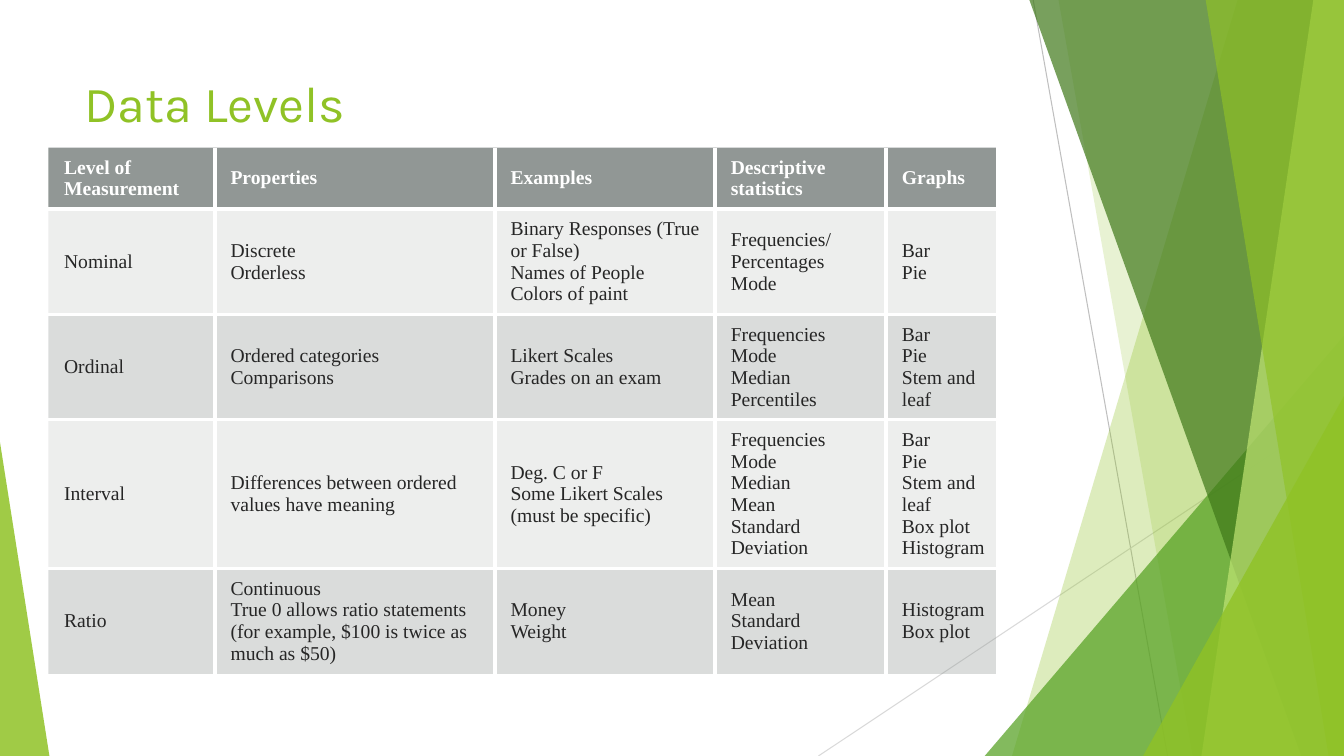
from lxml.etree import SubElement
from pptx import Presentation
from pptx.dml.color import RGBColor
from pptx.enum.shapes import MSO_CONNECTOR, MSO_SHAPE
from pptx.enum.text import MSO_ANCHOR
from pptx.oxml import parse_xml
from pptx.oxml.ns import nsdecls, qn
from pptx.util import Pt

WIDTH, HEIGHT = 960, 540
LIME = "90C226"
COLUMN_WIDTHS = [118.9, 200, 157.4, 122.2, 78.5]
ROW_HEIGHTS = [44, 75.2, 75.2, 106.4, 75.2]
INSETS = {"margin_left": Pt(11.3), "margin_right": Pt(6.5),
          "margin_top": Pt(6.5), "margin_bottom": Pt(6.5)}
# Each cell is a list of paragraphs; \v breaks a line inside a paragraph.
ROWS = [
    [["Level of Measurement"], ["Properties"], ["Examples"],
     ["Descriptive statistics"], ["Graphs"]],
    [["Nominal"], ["Discrete", "Orderless"],
     ["Binary Responses (True or False)", "Names of People", "Colors of paint"],
     ["Frequencies/Percentages\vMode"], ["Bar", "Pie"]],
    [["Ordinal"], ["Ordered categories", "Comparisons"],
     ["Likert Scales", "Grades on an exam"],
     ["Frequencies", "Mode", "Median", "Percentiles"],
     ["Bar", "Pie", "Stem and leaf"]],
    [["Interval"], ["Differences between ordered values have meaning"],
     ["Deg. C or F", "Some Likert Scales (must be specific)"],
     ["Frequencies", "Mode", "Median", "Mean", "Standard Deviation"],
     ["Bar\vPie\vStem and leaf", "Box plot", "Histogram"]],
    [["Ratio"],
     ["Continuous", "True 0 allows ratio statements\v"
      "(for example, $100 is twice as much as $50)"],
     ["Money", "Weight"], ["Mean", "Standard Deviation"],
     ["Histogram", "Box plot"]],
]


def color(value):
    return RGBColor.from_string(value)


def set_format(target, values):
    for name, value in values.items():
        setattr(target, name, value)


def set_font(font, hex_color, **values):
    set_format(font, values)
    font.color.rgb = color(hex_color)


def fill_translucent(fill, element, hex_color, opacity):
    """Fill with a colour at the given opacity in percent."""
    fill.solid()
    fill.fore_color.rgb = color(hex_color)
    fill_color = next(element.iter(qn("a:srgbClr")))
    SubElement(fill_color, qn("a:alpha"), val=str(opacity * 1000))


def finish_shape(shape, hex_color, opacity):
    shape.shadow.inherit = False
    shape.line.fill.background()
    fill_translucent(shape.fill, shape.element, hex_color, opacity)


def add_facet(slide, top_x, bottom_x, hex_color, opacity):
    """Full-height panel from a slanted left edge to the slide's right edge."""
    builder = slide.shapes.build_freeform(Pt(top_x), Pt(-0.6))
    builder.add_line_segments([(Pt(WIDTH), Pt(-0.6)), (Pt(WIDTH), Pt(HEIGHT)),
                               (Pt(bottom_x), Pt(HEIGHT))], close=True)
    finish_shape(builder.convert_to_shape(), hex_color, opacity)


def add_corner(slide, left, top, width, apex, hex_color, opacity):
    """Triangle standing on the slide's bottom edge."""
    triangle = slide.shapes.add_shape(MSO_SHAPE.ISOSCELES_TRIANGLE, Pt(left),
                                      Pt(top), Pt(width), Pt(HEIGHT - top))
    triangle.adjustments[0] = apex
    finish_shape(triangle, hex_color, opacity)


def add_hairline(slide, start, end, hex_color):
    line = slide.shapes.add_connector(MSO_CONNECTOR.STRAIGHT,
                                      *map(Pt, start + end))
    line.line.color.rgb = color(hex_color)
    line.line.width = Pt(0.75)
    SubElement(line.element.spPr, qn("a:effectLst"))


def add_background(slide):
    add_hairline(slide, (738, 0), (834, HEIGHT), "BFBFBF")
    add_hairline(slide, (WIDTH, 290), (584.6, HEIGHT), "D9D9D9")
    add_facet(slide, 884.2, 722.9, LIME, 30)
    add_facet(slide, 756, 851.8, LIME, 20)
    add_corner(slide, 703.4, 239.8, 256.6, 1, "54A021", 72)
    add_facet(slide, 735.1, 929.5, "3F7819", 70)
    add_facet(slide, 938.2, 858.2, "C0E474", 70)
    add_facet(slide, 861.1, 949, LIME, 65)
    add_corner(slide, 816.5, 283, 143.5, 1, LIME, 80)
    add_corner(slide, 0, 316, 35.3, 0, LIME, 85)


def set_title(slide, text):
    title = slide.shapes.title
    set_format(title, {"left": Pt(53.3), "top": Pt(48.2),
                       "width": Pt(676.8), "height": Pt(103.7)})
    frame = title.text_frame
    set_format(frame, {"text": text, "vertical_anchor": MSO_ANCHOR.TOP})
    paragraph = frame.paragraphs[0]
    paragraph.alignment = 1
    set_font(paragraph.runs[0].font, LIME, name="Karla", size=Pt(36))


def set_borders(cell, inner_sides):
    """White rules on the inner sides, none on the table's outline."""
    properties = cell._tc.get_or_add_tcPr()
    for position, (side, inner) in enumerate(inner_sides.items()):
        paint = ('<a:solidFill><a:srgbClr val="FFFFFF"/></a:solidFill>'
                 if inner else "<a:noFill/>")
        width = Pt(3) if inner else 0
        properties.insert(position, parse_xml(
            f'<a:ln{side} {nsdecls("a")} w="{width}">{paint}</a:ln{side}>'))


def fill_cell(cell, paragraphs, row):
    set_format(cell, INSETS | {"vertical_anchor": MSO_ANCHOR.MIDDLE})
    cell.text = "\n".join(paragraphs)
    header = row == 0
    for paragraph in cell.text_frame.paragraphs:
        for run in paragraph.runs:
            set_font(run.font, "FFFFFF" if header else "262626",
                     name="Times New Roman", size=Pt(14), bold=header)
    shade = ("636B68", 70) if header else ("878E8B", 15 if row % 2 else 30)
    fill_translucent(cell.fill, cell._tc.get_or_add_tcPr(), *shade)


def add_levels_table(slide):
    last_row, last_column = len(ROWS) - 1, len(COLUMN_WIDTHS) - 1
    table = slide.shapes.add_table(
        len(ROWS), len(COLUMN_WIDTHS), Pt(34.5), Pt(105.4),
        Pt(sum(COLUMN_WIDTHS)), Pt(sum(ROW_HEIGHTS))).table
    for column, width in zip(table.columns, COLUMN_WIDTHS):
        column.width = Pt(width)
    for row, height in zip(table.rows, ROW_HEIGHTS):
        row.height = Pt(height)
    for r, row in enumerate(ROWS):
        for c, paragraphs in enumerate(row):
            cell = table.cell(r, c)
            fill_cell(cell, paragraphs, r)
            set_borders(cell, {"L": c > 0, "R": c < last_column,
                               "T": r > 0, "B": r < last_row})


def main():
    presentation = Presentation()
    set_format(presentation, {"slide_width": Pt(WIDTH),
                              "slide_height": Pt(HEIGHT)})
    slide = presentation.slides.add_slide(presentation.slide_layouts[5])
    add_background(slide)
    set_title(slide, "Data Levels")
    add_levels_table(slide)
    presentation.save("out.pptx")


if __name__ == "__main__":
    main()
